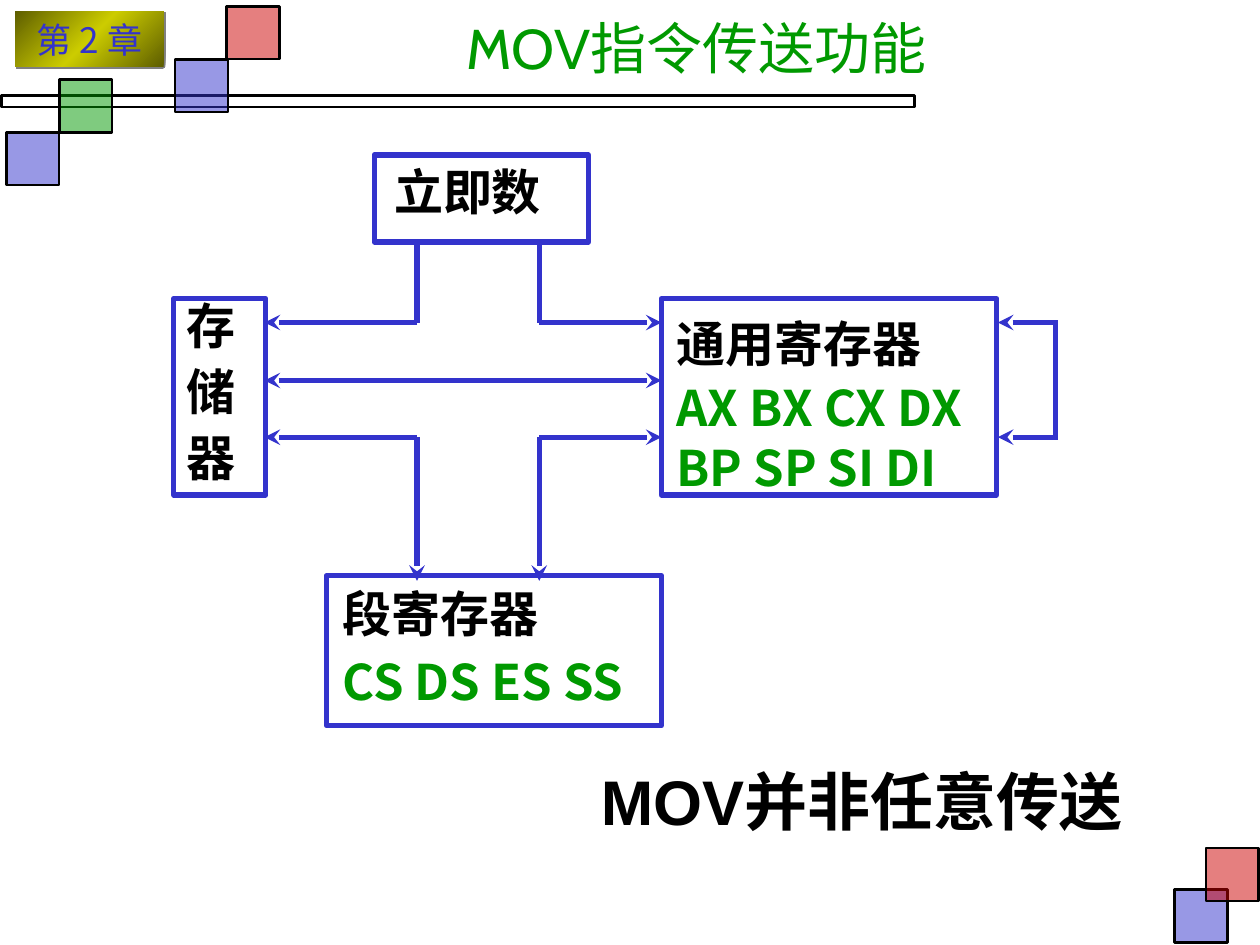
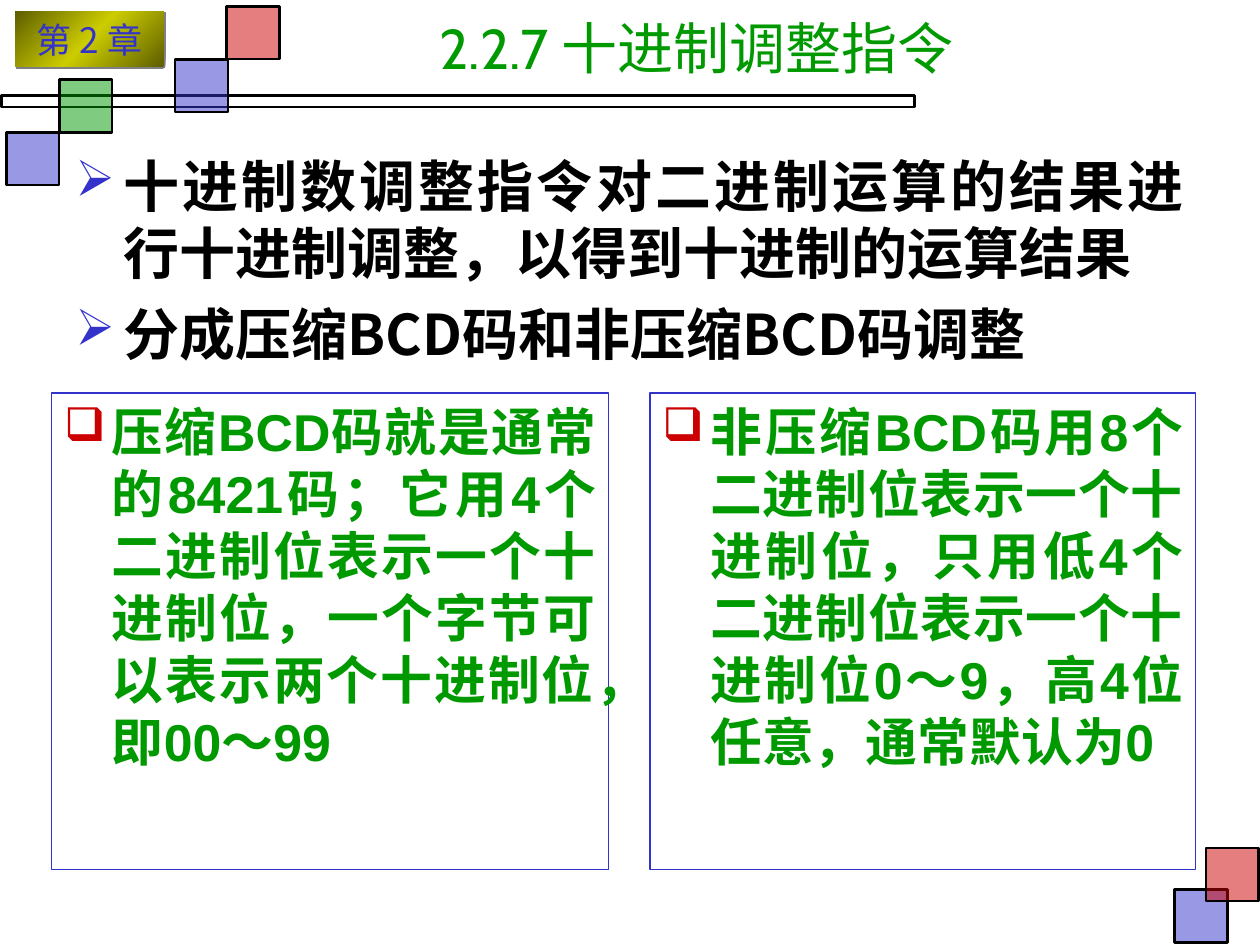
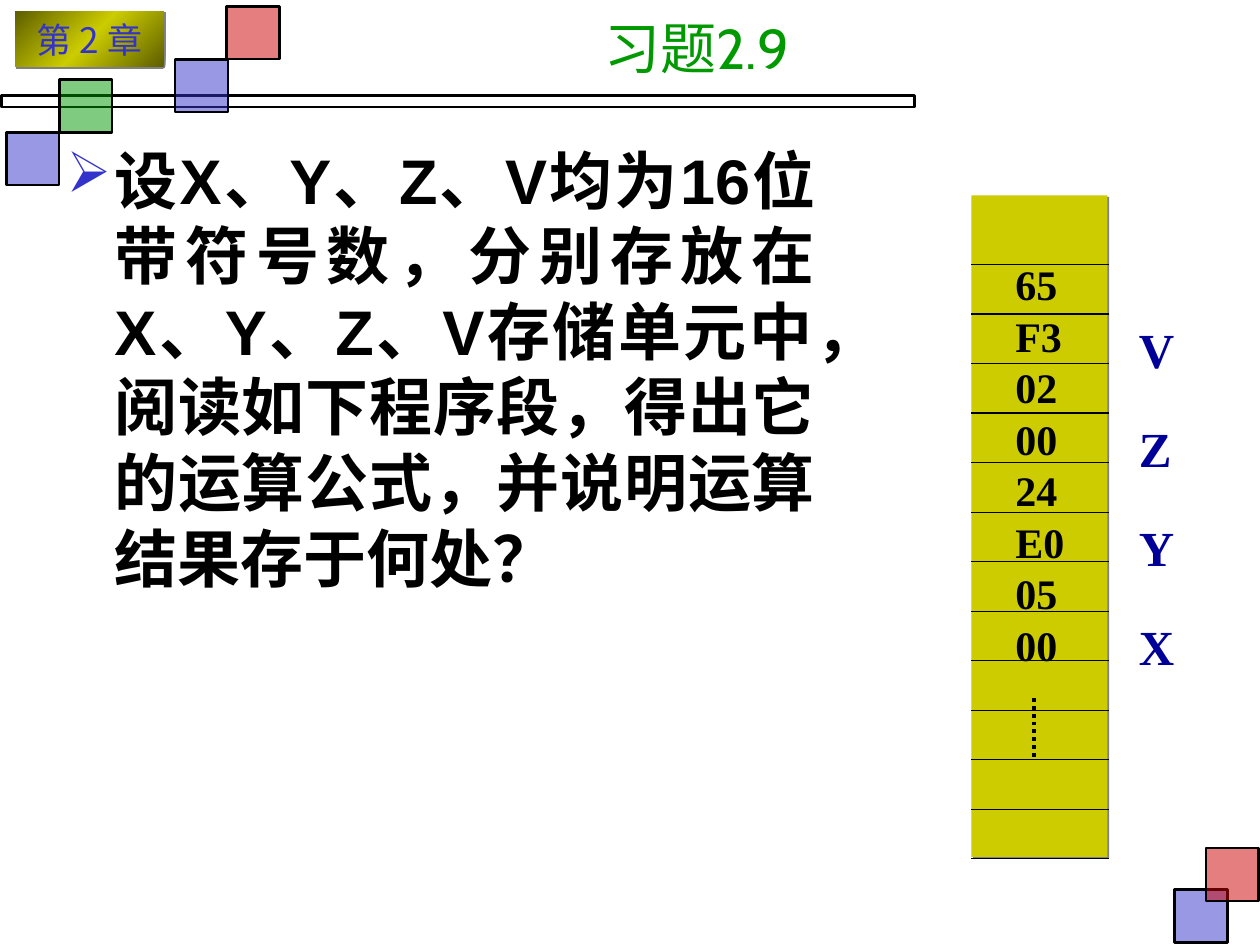
from dataclasses import dataclass, replace
from typing import NamedTuple, Optional, Sequence

import lxml.etree
import pptx
import pptx.dml.color
import pptx.enum.dml
import pptx.enum.shapes
import pptx.enum.text
import pptx.oxml.ns
import pptx.util

WIDTH = pptx.util.Inches(10)
HEIGHT = pptx.util.Inches(7.5)
COLS, ROWS = 100, 75

BLUE, RED, GREEN = "3333CC", "CC0000", "009900"
NAVY, BLACK, GRAY = "000099", "000000", "808080"
OLIVE, DARK_OLIVE = "CCCC00", "5E5E00"
HAN = "Noto Sans CJK SC"
HANG = pptx.util.Inches(0.38)

ALIGN = pptx.enum.text.PP_ALIGN
qn = pptx.oxml.ns.qn


class Area(NamedTuple):
    left: float
    top: float
    width: float
    height: float


@dataclass(frozen=True)
class Style:
    size: float
    font: str
    color: str
    bold: bool = True
    han: str = HAN
    align: Optional[ALIGN] = None
    spacing: Optional[float] = None
    before: float = 0
    hanging: bool = False
    bullet: str = ""
    bullet_color: str = BLUE


class Line(NamedTuple):
    text: str
    style: Style


class Square(NamedTuple):
    left: float
    top: float
    color: str


class Node(NamedTuple):
    box: Area
    label: Area
    lines: Sequence[Line]


class Wire(NamedTuple):
    x1: float
    y1: float
    x2: float
    y2: float
    head: bool = False
    tail: bool = False


def col(n: float) -> int:
    return round(WIDTH * n / COLS)


def row(n: float) -> int:
    return round(HEIGHT * n / ROWS)


def place(area: Area) -> tuple:
    return col(area.left), row(area.top), col(area.width), row(area.height)


def rgb(color: str) -> pptx.dml.color.RGBColor:
    return pptx.dml.color.RGBColor.from_string(color)


def add_xml(parent, tag: str, **attrs: str):
    return lxml.etree.SubElement(parent, qn(tag), attrs)


def outline(line, color: str, width: float) -> None:
    line.color.rgb = rgb(color)
    line.width = pptx.util.Pt(width)


def add_bullet(p, style: Style) -> None:
    pPr = p._p.get_or_add_pPr()
    pPr.set("marL", str(HANG))
    pPr.set("indent", str(-HANG))
    if style.bullet:
        add_xml(add_xml(pPr, "a:buClr"), "a:srgbClr", val=style.bullet_color)
        add_xml(pPr, "a:buSzPct", val="90000")
        add_xml(pPr, "a:buChar", char=style.bullet)


def write(tf, lines: Sequence[Line]) -> None:
    tf.word_wrap = True
    tf.auto_size = pptx.enum.text.MSO_AUTO_SIZE.NONE
    for i, (text, style) in enumerate(lines):
        p = tf.add_paragraph() if i else tf.paragraphs[0]
        p.text = text
        p.alignment = style.align
        p.line_spacing = style.spacing
        p.space_before = pptx.util.Pt(style.before if i else 0)
        if style.hanging:
            add_bullet(p, style)
        for r in p.runs:
            r.font.size = pptx.util.Pt(style.size)
            r.font.bold = style.bold
            r.font.color.rgb = rgb(style.color)
            r.font.name = style.font
            add_xml(r._r.get_or_add_rPr(), "a:ea", typeface=style.han)


def add_text(slide, area: Area, lines: Sequence[Line]):
    sp = slide.shapes.add_textbox(*place(area))
    write(sp.text_frame, lines)
    return sp


def add_rect(slide, area: Area, fill: str = "", line: str = "",
             width: float = 1.5, alpha: int = 100):
    sp = slide.shapes.add_shape(pptx.enum.shapes.MSO_SHAPE.RECTANGLE, *place(area))
    sp.shadow.inherit = False
    if fill:
        sp.fill.solid()
        sp.fill.fore_color.rgb = rgb(fill)
        if alpha < 100:
            clr = sp._element.spPr.find(".//" + qn("a:srgbClr"))
            add_xml(clr, "a:alpha", val=str(alpha * 1000))
    else:
        sp.fill.background()
    if line:
        outline(sp.line, line, width)
    else:
        sp.line.fill.background()
    return sp


def add_shadow(sp) -> None:
    effects = sp._element.spPr.find(qn("a:effectLst"))
    shadow = add_xml(effects, "a:outerShdw", dist=str(pptx.util.Pt(1.4)),
                     dir="2700000", algn="ctr", rotWithShape="0")
    add_xml(shadow, "a:srgbClr", val=GRAY)


def add_line(slide, wire: Wire, color: str, width: float, dotted: bool = False) -> None:
    cn = slide.shapes.add_connector(
        pptx.enum.shapes.MSO_CONNECTOR.STRAIGHT,
        col(wire.x1), row(wire.y1), col(wire.x2), row(wire.y2))
    outline(cn.line, color, width)
    if dotted:
        cn.line.dash_style = pptx.enum.dml.MSO_LINE.ROUND_DOT
    spPr = cn._element.spPr
    ln = spPr.find(qn("a:ln"))
    if wire.head:
        add_xml(ln, "a:headEnd", type="stealth")
    if wire.tail:
        add_xml(ln, "a:tailEnd", type="stealth")
    add_xml(spPr, "a:effectLst")


TITLE_AREA = Area(22.4, 0.6, 65.8, 6.2)
TITLE = Style(32, "Cabin", GREEN, bold=False, align=ALIGN.CENTER)
CHAPTER = Style(20, "Noto Sans CJK JP", BLUE, bold=False,
                han="Noto Sans CJK JP", align=ALIGN.CENTER)
BODY = Style(36, "Arial", BLACK, align=ALIGN.JUSTIFY, hanging=True)
POINT = replace(BODY, size=32, font=HAN, before=8, bullet="➢")
CARD = replace(BODY, size=29.6, color=GREEN, bullet="❑", bullet_color=RED)
LABEL = Style(28, "Times New Roman", BLACK, before=17.5)
REGISTER = replace(LABEL, font=HAN, color=GREEN)

SIDE = 4.2
SQUARES = (
    Square(93.2, 70.6, BLUE), Square(95.7, 67.3, RED), Square(13.9, 4.7, BLUE),
    Square(0.5, 10.5, BLUE), Square(4.7, 6.3, GREEN), Square(18, 0.5, RED),
)


def add_chapter_badge(slide) -> None:
    sp = add_rect(slide, Area(1.2, 0.9, 11.8, 4.4))
    sp.fill.gradient()
    sp.fill.gradient_angle = 315
    stops = sp._element.spPr.find(".//" + qn("a:gsLst"))
    for stop in list(stops):
        stops.remove(stop)
    for percent, color in ((0, DARK_OLIVE), (50, OLIVE), (100, DARK_OLIVE)):
        add_xml(add_xml(stops, "a:gs", pos=str(percent * 1000)), "a:srgbClr", val=color)
    add_shadow(sp)
    write(sp.text_frame, [Line("第 2 章", CHAPTER)])


def new_slide(prs, title: str):
    slide = prs.slides.add_slide(prs.slide_layouts[5])
    add_rect(slide, Area(0.1, 7.6, 72.5, 0.9), line=BLACK)
    for square in SQUARES:
        add_rect(slide, Area(square.left, square.top, SIDE, SIDE),
                 square.color, BLACK, alpha=50)
    add_chapter_badge(slide)
    sp = slide.shapes.title
    sp.left, sp.top, sp.width, sp.height = place(TITLE_AREA)
    sp.text_frame.vertical_anchor = pptx.enum.text.MSO_ANCHOR.MIDDLE
    write(sp.text_frame, [Line(title, TITLE)])
    return slide


def build_transfer_slide(prs) -> None:
    slide = new_slide(prs, "MOV指令传送功能")
    add_text(slide, Area(46.7, 60, 50.8, 7.5), [Line("MOV并非任意传送", BODY)])

    half, tight = replace(REGISTER, spacing=0.5), replace(REGISTER, spacing=0.6)
    stacked = replace(LABEL, spacing=0.6)
    nodes = (
        Node(Area(29.7, 12.3, 17, 6.9), Area(30.3, 12.3, 15.1, 5.7),
             [Line("立即数", LABEL)]),
        Node(Area(13.8, 23.7, 7.3, 15.6), Area(13.8, 24.6, 5.8, 14.3),
             [Line(char, stacked) for char in "存储器"]),
        Node(Area(52.5, 23.7, 26.6, 15.6), Area(52.7, 24.4, 26.3, 15.2),
             [Line("通用寄存器", LABEL), Line("AX BX CX DX", half),
              Line("BP SP SI DI", half)]),
        Node(Area(25.9, 45.7, 26.6, 11.9), Area(26.2, 45.8, 25.9, 10.9),
             [Line("段寄存器", LABEL), Line("CS DS ES SS", tight)]),
    )
    for node in nodes:
        add_rect(slide, node.box, line=BLUE, width=3)

    memory, general, loop = 21, 52.5, 83.8
    upper, middle, lower = 25.6, 30.2, 34.7
    wires = [Wire(memory, middle, general, middle, head=True, tail=True),
             Wire(loop, upper, loop, lower)]
    for x, target in ((33.1, memory), (42.8, general)):
        wires += [Wire(x, 19.4, x, upper), Wire(x, lower, x, 46.1, tail=True)]
        wires += [Wire(x, y, target, y, tail=True) for y in (upper, lower)]
    wires += [Wire(79.2, y, 84, y, head=True) for y in (upper, lower)]
    for wire in wires:
        add_line(slide, wire, BLUE, 3)
    for node in nodes:
        add_text(slide, node.label, node.lines)


def build_decimal_slide(prs) -> None:
    slide = new_slide(prs, "2.2.7 十进制调整指令")
    cards = (
        (Area(4.1, 31.2, 44.2, 37.8),
         "压缩BCD码就是通常的8421码；它用4个二进制位表示一个十进制位，"
         "一个字节可以表示两个十进制位，即00～99"),
        (Area(51.6, 31.2, 43.3, 37.8),
         "非压缩BCD码用8个二进制位表示一个十进制位，只用低4个二进制位"
         "表示一个十进制位0～9，高4位任意，通常默认为0"),
    )
    for area, text in cards:
        outline(add_text(slide, area, [Line(text, CARD)]).line, BLUE, 0.75)
    add_text(slide, Area(5, 11.5, 90, 18.3), [
        Line("十进制数调整指令对二进制运算的结果进行十进制调整，"
             "以得到十进制的运算结果", POINT),
        Line("分成压缩BCD码和非压缩BCD码调整", POINT),
    ])


def build_exercise_slide(prs) -> None:
    slide = new_slide(prs, "习题2.9")
    add_text(slide, Area(4.3, 10.7, 61.4, 59.8), [
        Line("设X、Y、Z、V均为16位带符号数，分别存放在X、Y、Z、V存储单元中，"
             "阅读如下程序段，得出它的运算公式，并说明运算结果存于何处？",
             replace(BODY, bullet="➢"))])

    add_shadow(add_rect(slide, Area(77.1, 15.5, 10.8, 52.5), OLIVE))
    variable = replace(LABEL, color=NAVY, before=22.8)
    add_text(slide, Area(89.4, 24.9, 4.8, 29.2), [Line(v, variable) for v in "VZYX"])
    cell = replace(LABEL, size=24, spacing=0.5, before=15)
    values = ("65", "F3", "02", "00", "24", "E0", "05", "00")
    add_text(slide, Area(79.6, 21.8, 6.7, 31.6), [Line(v, cell) for v in values])

    first_rule, cell_height, rules = 21, 3.93, 13
    for i in range(rules):
        y = first_rule + i * cell_height
        add_line(slide, Wire(77.1, y, 88, y), BLACK, 0.75)
    add_line(slide, Wire(82.1, 55.4, 82.1, 60.3), BLACK, 2.25, dotted=True)


def main() -> None:
    prs = pptx.Presentation()
    prs.slide_width, prs.slide_height = WIDTH, HEIGHT
    build_transfer_slide(prs)
    build_decimal_slide(prs)
    build_exercise_slide(prs)
    prs.save("out.pptx")


if __name__ == "__main__":
    main()
